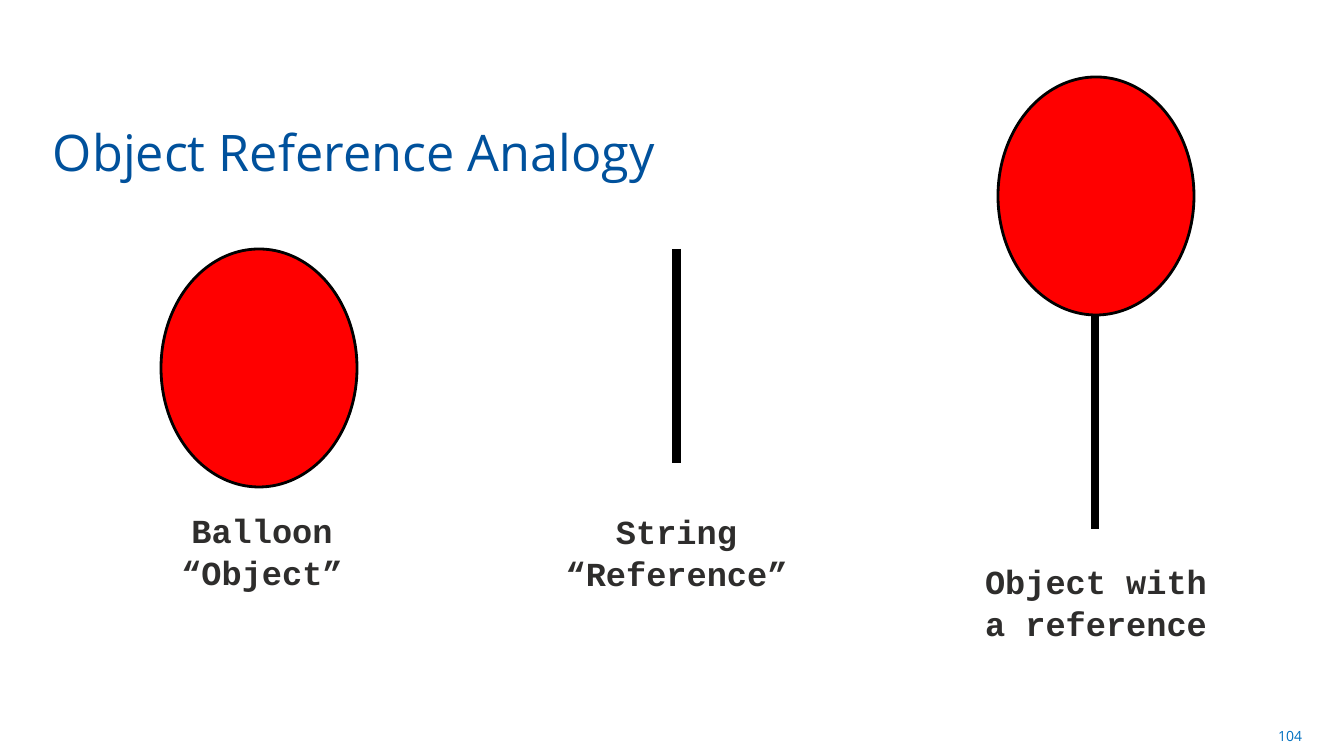
import pptx
import pptx.util
import pptx.dml.color
import pptx.enum.shapes
import pptx.enum.text
import lxml.etree

SCALE = 914400 / 100.8
ALIGN = pptx.enum.text.PP_ALIGN
ANCHOR = pptx.enum.text.MSO_ANCHOR


class Theme:
    title = {"name": "Open Sans", "size": 36, "color": "00519C"}
    label = {"name": "Courier New", "size": 24, "color": "2E2D2C", "bold": True}
    number = {"name": "Open Sans", "size": 10, "color": "0070C0"}
    skin = "FF0000"
    ink = "000000"
    edge = 2
    cord = 6


def px(n):
    return pptx.util.Emu(round(n * SCALE))


def rgb(code):
    return pptx.dml.color.RGBColor.from_string(code)


def style(font, looks):
    for key, value in looks.items():
        if key == "color":
            font.color.rgb = rgb(value)
        else:
            setattr(font, key, pptx.util.Pt(value) if key == "size" else value)


def write(slide, box, lines, looks, align, anchor=ANCHOR.TOP, pad=(10, 5), pitch=1.0):
    frame = slide.shapes.add_textbox(*map(px, box)).text_frame
    side, edge = map(px, pad)
    format = {"word_wrap": True, "vertical_anchor": anchor,
              "margin_left": side, "margin_right": side,
              "margin_top": edge, "margin_bottom": edge}
    for key, value in format.items():
        setattr(frame, key, value)
    for i, line in enumerate(lines):
        para = frame.add_paragraph() if i else frame.paragraphs[0]
        para.alignment = align
        para.line_spacing = pitch
        run = para.add_run()
        run.text = line
        style(run.font, looks)


def label(slide, box, lines):
    write(slide, box, lines, Theme.label, ALIGN.CENTER, pitch=1.06)


# Red oval that stands for the object
def balloon(slide, box):
    oval = slide.shapes.add_shape(pptx.enum.shapes.MSO_SHAPE.OVAL, *map(px, box))
    oval.shadow.inherit = False
    oval.fill.solid()
    oval.fill.fore_color.rgb = rgb(Theme.skin)
    oval.line.color.rgb = rgb(Theme.ink)
    oval.line.width = pptx.util.Pt(Theme.edge)


# Thick upright line that stands for the reference
def string(slide, x, top, tall):
    kind = pptx.enum.shapes.MSO_CONNECTOR.STRAIGHT
    cord = slide.shapes.add_connector(kind, *map(px, (x, top, x, top + tall)))
    cord.line.color.rgb = rgb(Theme.ink)
    cord.line.width = pptx.util.Pt(Theme.cord)
    props = cord._element.spPr
    lxml.etree.SubElement(props, pptx.oxml.ns.qn("a:effectLst"))


# Left part: the object alone
def object_part(slide, box):
    x, y, w, h = box
    balloon(slide, (x + 83, y, 196, 238))
    label(slide, (x, y + h - 91, w, 91), ["Balloon", "\u201cObject\u201d"])


# Middle part: the reference alone
def string_part(slide, box):
    x, y, w, h = box
    string(slide, x + w / 2, y, 214)
    label(slide, (x, y + h - 91, w, 91), ["String", "\u201cReference\u201d"])


# Right part: the object tied to its reference
def joined_part(slide, box):
    x, y, w, h = box
    balloon(slide, (x + 34, y, 196, 238))
    string(slide, x + w / 2 - 1, y + 238, 214)
    label(slide, (x, y + h - 91, w, 91), ["Object with a reference"])


def title(slide, box):
    write(slide, box, ["Object Reference Analogy"], Theme.title, ALIGN.LEFT,
          ANCHOR.BOTTOM, pad=(8, 0))


def number(slide, box):
    write(slide, box, ["104"], Theme.number, ALIGN.RIGHT, ANCHOR.MIDDLE)


deck = pptx.Presentation()
deck.slide_width, deck.slide_height = px(1344), px(756)
page = deck.slides.add_slide(deck.slide_layouts[6])
number(page, (999, 716, 313, 40))
title(page, (45, 114, 1006, 68))
object_part(page, (78, 249, 368, 344))
string_part(page, (503, 249, 347, 345))
joined_part(page, (964, 77, 264, 567))
deck.save("out.pptx")
